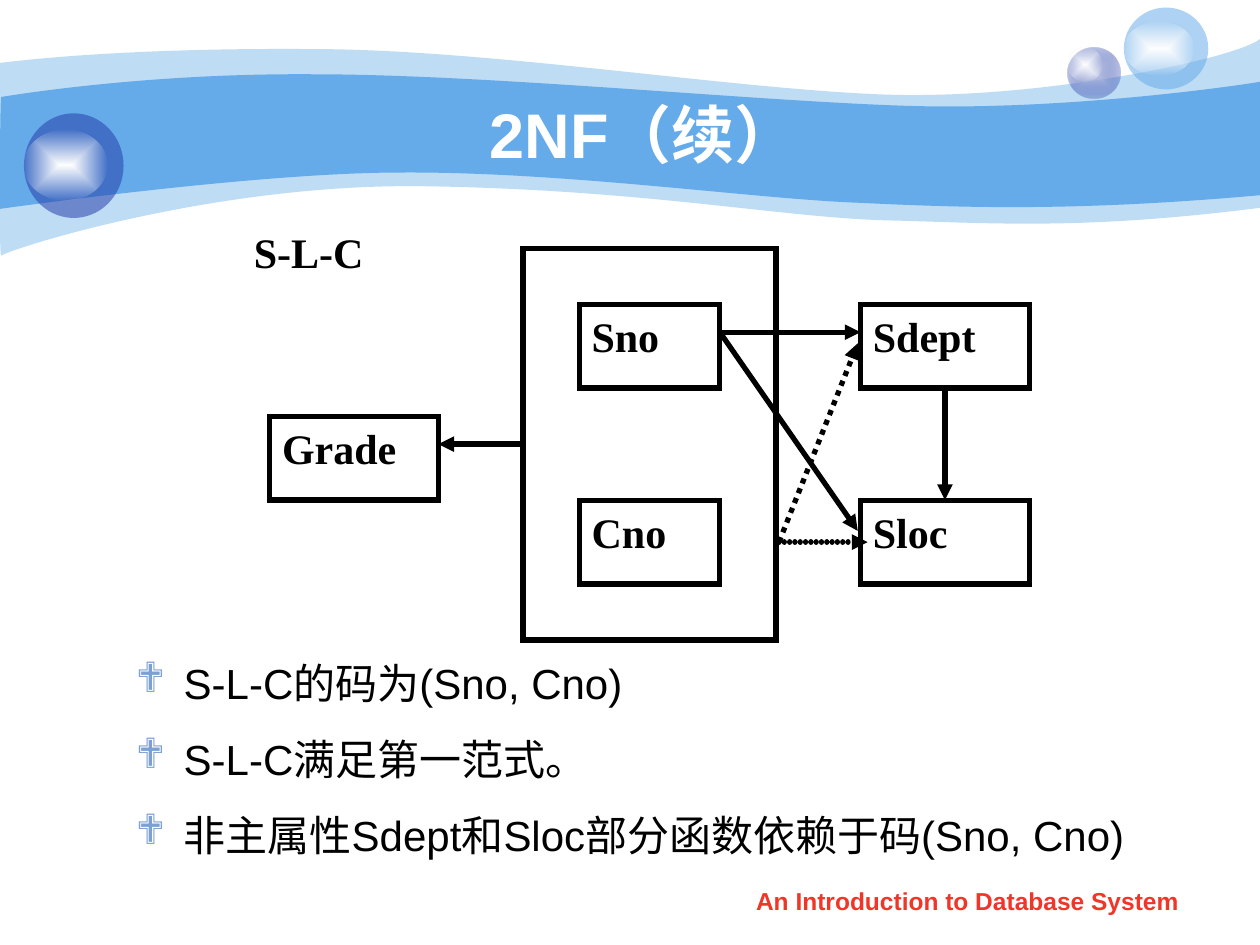
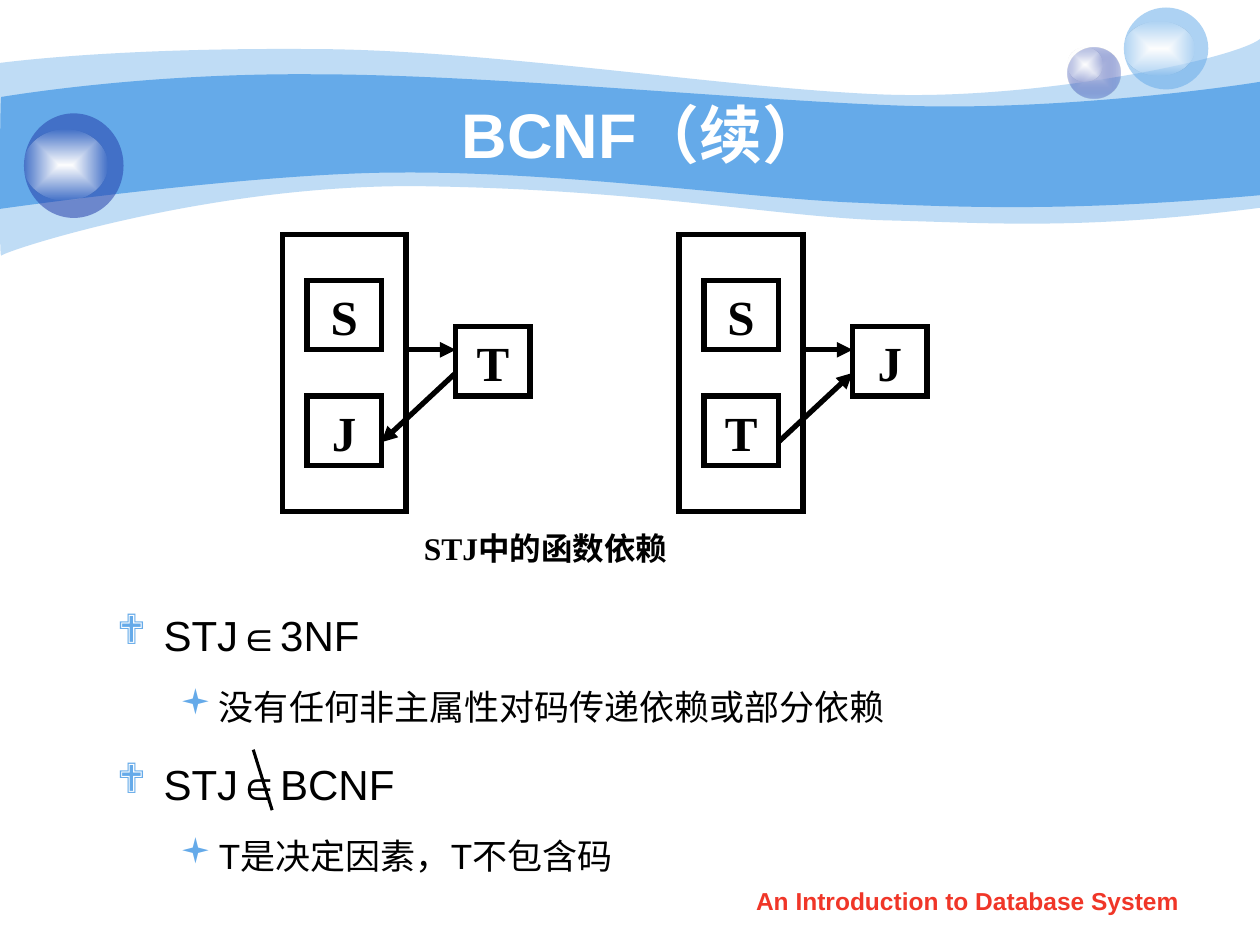
from lxml.etree import SubElement
from pptx import Presentation
from pptx.dml.color import RGBColor
from pptx.enum.dml import MSO_LINE
from pptx.enum.shapes import MSO_CONNECTOR, MSO_SHAPE
from pptx.enum.text import MSO_ANCHOR, PP_ALIGN
from pptx.oxml import parse_xml
from pptx.oxml.ns import nsdecls, qn
from pptx.util import Inches, Pt

COLOURS = {
    "sky": "65AAE9", "navy": "233DA9", "lilac": "C6CCE8", "white": "FFFFFF",
    "glow": "FEFEFE", "ink": "000000", "steel": "7DA0D3", "red": "F03628",
}

deck = Presentation()
deck.slide_width, deck.slide_height = Inches(10), Inches(7.5)
blank = deck.slide_layouts[6]

PAGE = (0, 0, 1, 1)
SLC = (2.14, 1.97, 2.01 / 9, 3.11 / 14)
STJ_LEFT = (2.24, 1.86, 0.59 / 3, 2.2 / 12)
STJ_RIGHT = (5.39, *STJ_LEFT[1:])

STYLES = {}
for style, colour, alignment, size, font, bold in (
    ("title", "white", PP_ALIGN.CENTER, 36, "Arial", True),
    ("footer", "red", PP_ALIGN.CENTER, 14, "Arial", True),
    ("attribute", "ink", PP_ALIGN.JUSTIFY, 24, "Times New Roman", True),
    ("letter", "ink", PP_ALIGN.CENTER, 28, "Times New Roman", True),
    ("caption", "ink", PP_ALIGN.CENTER, 18, "Times New Roman", True),
):
    STYLES[style] = {
        "colour": colour, "paragraph": {"alignment": alignment},
        "font": {"size": Pt(size), "name": font, "bold": bold},
    }
for style, mark, mark_colour, size, spacing, before, margin, hang in (
    ("lead", "❖", "steel", 24, 1, 0, 0.38, 0.38),
    ("point", "❖", "steel", 24, 1.3, 6, 0.38, 0.38),
    ("claim", "❖", "sky", 24, 1.4, 6, 0.37, 0.37),
    ("reason", "▪", "sky", 20, 1.4, 5, 0.81, 0.31),
):
    STYLES[style] = {
        "colour": "ink", "bullet": (mark, mark_colour, margin, hang),
        "paragraph": {"line_spacing": spacing, "space_before": Pt(before)},
        "font": {"size": Pt(size), "name": "Arial"},
    }


def add_block(slide, grid, box, lines=(), framed=False, anchor=MSO_ANCHOR.TOP):
    left, top, column, row = grid
    x, y, width, height = box
    area = [Inches(v) for v in (left + x * column, top + y * row, width * column, height * row)]
    if framed:
        block = slide.shapes.add_shape(MSO_SHAPE.RECTANGLE, *area)
        block.shadow.inherit = False
        block.fill.background()
        block.line.color.rgb = RGBColor.from_string(COLOURS["ink"])
        block.line.width = Pt(3)
        SubElement(block.line._get_or_add_ln(), qn("a:miter"), lim="800000")
    else:
        block = slide.shapes.add_textbox(*area)
    frame = block.text_frame
    frame.word_wrap, frame.vertical_anchor = True, anchor
    for index, (words, style_name) in enumerate(lines):
        style = STYLES[style_name]
        paragraph = frame.add_paragraph() if index else frame.paragraphs[0]
        for attribute, value in style["paragraph"].items():
            if index or attribute != "space_before":
                setattr(paragraph, attribute, value)
        if "bullet" in style:
            mark, mark_colour, margin, hang = style["bullet"]
            properties = paragraph._p.get_or_add_pPr()
            properties.set("marL", str(Inches(margin)))
            properties.set("indent", str(-Inches(hang)))
            tint = SubElement(properties, qn("a:buClr"))
            SubElement(tint, qn("a:srgbClr"), val=COLOURS[mark_colour])
            SubElement(properties, qn("a:buFont"), typeface="Wingdings", charset="2")
            SubElement(properties, qn("a:buChar"), char=mark)
        run = paragraph.add_run()
        run.text = words
        for attribute, value in style["font"].items():
            setattr(run.font, attribute, value)
        run.font.color.rgb = RGBColor.from_string(COLOURS[style["colour"]])
    return block


def add_link(slide, grid, start, end, dash=None, width=3, arrow=True):
    left, top, column, row = grid
    ends = [Inches(v) for x, y in (start, end) for v in (left + x * column, top + y * row)]
    link = slide.shapes.add_connector(MSO_CONNECTOR.STRAIGHT, *ends)
    link.line.color.rgb = RGBColor.from_string(COLOURS["ink"])
    link.line.width = Pt(width)
    stroke = link.line._get_or_add_ln()
    if dash == "beads":
        stroke.set("cap", "rnd")
        beads = SubElement(stroke, qn("a:custDash"))
        SubElement(beads, qn("a:ds"), d="1000", sp="100000")
    elif dash:
        link.line.dash_style = dash
    if arrow:
        SubElement(stroke, qn("a:tailEnd"), type="triangle")
    SubElement(link._element.spPr, qn("a:effectLst"))
    return link


WAVES = (
    ((0, 0.5), [("sky", 41)], (
        (0.24, 0.47, 1.07, 0.38, 2.47, 0.39), (3.86, 0.39, 5.75, 0.7, 6.99, 0.75),
        (8.22, 0.8, 9.8, 0.47, 10, 0.31), (10, 1.65),
        (8.58, 1.83, 7.87, 1.77, 7.05, 1.75), (6.22, 1.73, 5.15, 1.51, 3.43, 1.48),
        (1.72, 1.44, 0.04, 1.99, 0.01, 2.03), (-0.01, 2.08, 0, 0.75, 0, 0.5))),
    ((0.01, 0.77), [("sky", 100)], (
        (0.02, 0.77, 1.1, 0.58, 2.48, 0.59), (3.86, 0.59, 5.95, 0.8, 7.18, 0.84),
        (8.41, 0.88, 9.76, 0.69, 10, 0.65), (10, 1.55),
        (8.53, 1.68, 7.65, 1.65, 6.82, 1.61), (5.99, 1.58, 4.47, 1.36, 3.17, 1.37),
        (2.03, 1.37, -0.02, 1.66, -0.01, 1.66), (0, 1.66, 0, 0.77, 0.01, 0.77))),
)
SHINE = [("white", 100), ("glow", 0)]
BUBBLES = (
    ((8.47, 0.38, 0.42, 0.4), [("lilac", 100), ("navy", 31)]),
    ((8.47, 0.38, 0.28, 0.27), SHINE),
    ((8.92, 0.06, 0.67, 0.65), [("sky", 53)]),
    ((8.92, 0.17, 0.56, 0.43), SHINE),
    ((0.19, 0.9, 0.79, 0.83), [("navy", 53)]),
    ((0.19, 1.03, 0.66, 0.56), SHINE),
)

second_form, boyce_codd = [deck.slides.add_slide(blank) for _ in range(2)]

scenery = []
for start, paint, segments in WAVES:
    knots = [(Inches(x), Inches(y)) for segment in segments
             for x, y in zip(segment[::2], segment[1::2])]
    outline = second_form.shapes.build_freeform(Inches(start[0]), Inches(start[1]))
    outline.add_line_segments(knots)
    wave = outline.convert_to_shape()
    steps = iter(list(wave._element.iter(qn("a:lnTo"))))
    for segment in segments:
        step = next(steps)
        if len(segment) == 6:
            curve = step.makeelement(qn("a:cubicBezTo"))
            step.addprevious(curve)
            for old in (step, next(steps), next(steps)):
                curve.append(old[0])
                old.getparent().remove(old)
    scenery.append((wave, paint))
for box, paint in BUBBLES:
    bubble = second_form.shapes.add_shape(MSO_SHAPE.OVAL, *[Inches(v) for v in box])
    scenery.append((bubble, paint))
for part, paint in scenery:
    part.shadow.inherit = False
    part.line.fill.background()
    part.fill.background()
    tints = [f'<a:srgbClr val="{COLOURS[name]}"><a:alpha val="{opacity * 1000}"/></a:srgbClr>'
             for name, opacity in paint]
    if len(tints) == 1:
        markup = f'<a:solidFill {nsdecls("a")}>{tints[0]}</a:solidFill>'
    else:
        markup = (f'<a:gradFill {nsdecls("a")} rotWithShape="1"><a:gsLst>'
                  f'<a:gs pos="0">{tints[0]}</a:gs><a:gs pos="100000">{tints[1]}</a:gs>'
                  '</a:gsLst><a:path path="rect"><a:fillToRect l="50000" t="50000" '
                  'r="50000" b="50000"/></a:path></a:gradFill>')
    properties = part._element.spPr
    properties.replace(properties.find(qn("a:noFill")), parse_xml(markup))
    blank.shapes._spTree.append(part._element)

for slide, heading in ((second_form, "2NF（续）"), (boyce_codd, "BCNF（续）")):
    add_block(slide, PAGE, (1.07, 0.75, 8.08, 0.62), [(heading, "title")],
              anchor=MSO_ANCHOR.MIDDLE)
    add_block(slide, PAGE, (5.71, 6.98, 3.94, 0.35),
              [("An Introduction to Database System", "footer")])

add_block(second_form, PAGE, (0.98, 5.17, 8.5, 1.82), [
    ("S-L-C的码为(Sno, Cno)", "lead"),
    ("S-L-C满足第一范式。", "point"),
    ("非主属性Sdept和Sloc部分函数依赖于码(Sno, Cno)", "point"),
])
key = add_block(second_form, SLC, (9, 0, 9, 14), framed=True)
attributes = {}
for name, column, row, width in (
    ("Sno", 11, 2, 5), ("Cno", 11, 9, 5), ("Grade", 0, 6, 6),
    ("Sdept", 21, 2, 6), ("Sloc", 21, 9, 6),
):
    attributes[name] = add_block(second_form, SLC, (column, row, width, 3),
                                 [(name, "attribute")], framed=True)
to_grade = add_link(second_form, SLC, (9, 7), (6, 7))
to_grade.begin_connect(key, 1)
for start, end, dash in (
    ((16, 3), (21, 3), None),
    ((16, 3), (20.9, 10.1), None),
    ((18.1, 10.5), (20.9, 3.4), MSO_LINE.ROUND_DOT),
    ((18.1, 10.5), (21.25, 10.5), "beads"),
):
    add_link(second_form, SLC, start, end, dash)
dept_to_loc = add_link(second_form, SLC, (24, 5), (24, 9))
dept_to_loc.begin_connect(attributes["Sdept"], 2)
dept_to_loc.end_connect(attributes["Sloc"], 0)
add_block(second_form, SLC, (-1, -1, 7, 2.6), [("S-L-C", "attribute")])

for grid, upper, lower, target, slant in (
    (STJ_LEFT, "S", "J", "T", ((7, 6), (4, 9))),
    (STJ_RIGHT, "S", "T", "J", ((4, 9), (7, 6))),
):
    add_block(boyce_codd, grid, (0, 0, 5, 12), framed=True)
    for letter, column, row in ((upper, 1, 2), (lower, 1, 7), (target, 7, 4)):
        add_block(boyce_codd, grid, (column, row, 3, 3), [(letter, "letter")], framed=True)
    add_link(boyce_codd, grid, (5, 5), (7, 5))
    add_link(boyce_codd, grid, *slant)
add_block(boyce_codd, PAGE, (3.19, 4.15, 2.28, 0.55), [("STJ中的函数依赖", "caption")])
add_block(boyce_codd, PAGE, (0.83, 4.63, 8.5, 2.87), [
    ("STJ∈3NF", "claim"),
    ("没有任何非主属性对码传递依赖或部分依赖", "reason"),
    ("STJ∈BCNF", "claim"),
    ("T是决定因素，T不包含码", "reason"),
])
add_link(boyce_codd, PAGE, (2.01, 5.95), (2.16, 6.43), width=1.75, arrow=False)

deck.save("out.pptx")
